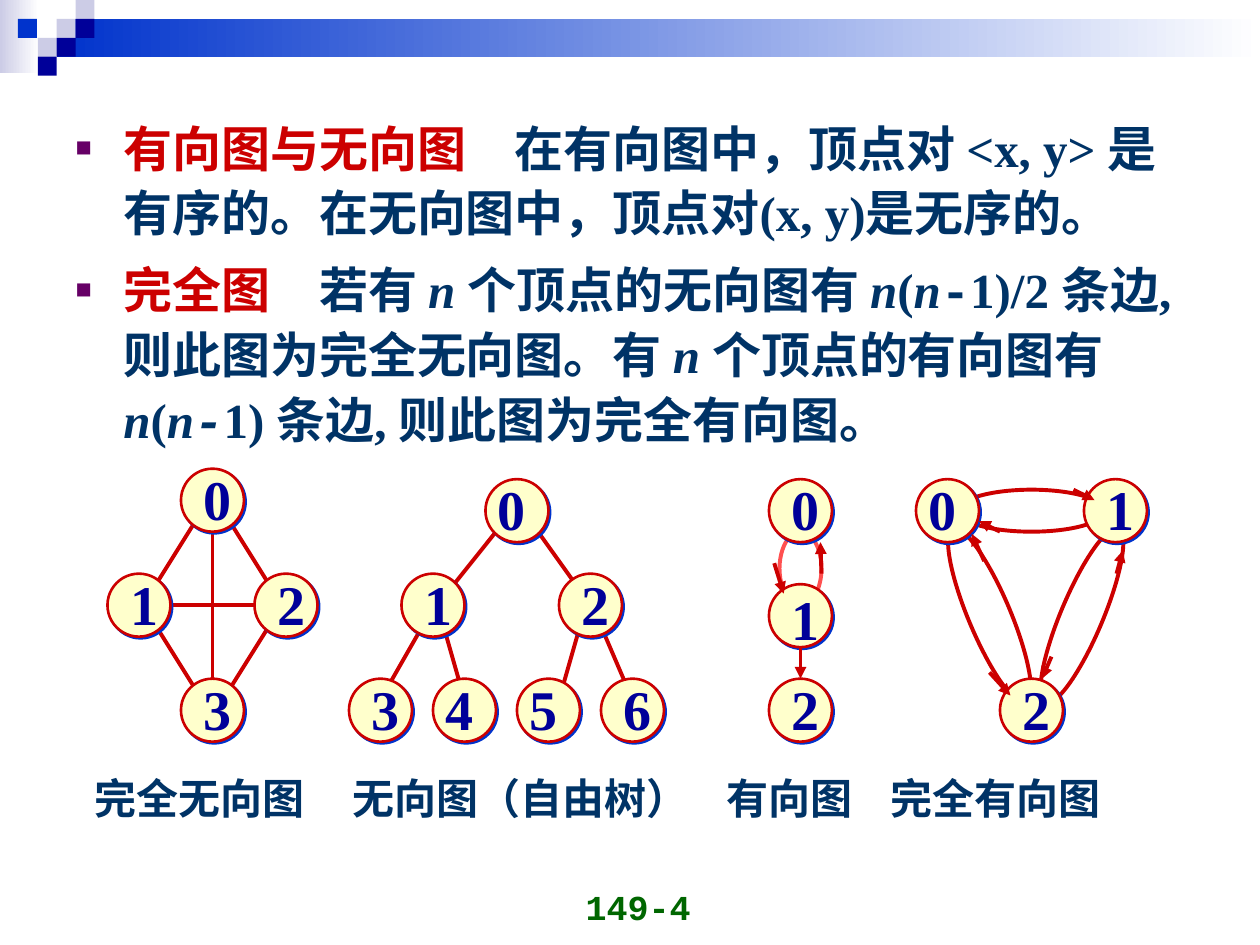
from lxml.etree import SubElement
from pptx import Presentation
from pptx.dml.color import RGBColor
from pptx.enum.shapes import MSO_CONNECTOR, MSO_SHAPE
from pptx.enum.text import MSO_ANCHOR, MSO_AUTO_SIZE, PP_ALIGN
from pptx.oxml.ns import qn
from pptx.util import Inches, Pt

COLORS = {
    "red": "CC0000", "pink": "FF5050", "cream": "FFFFCC", "navy": "000099",
    "blue": "0033CC", "lilac": "CCCCE6", "white": "FFFFFF", "ink": "003366",
    "green": "006600", "plum": "660066",
}
CELL = 1 / 12
ORIGIN_X, ORIGIN_Y = 0.02, -0.03
NODE_SIZE = 6
SERIF, SANS, MONO = "Times New Roman", "Arial", "Courier New"

HEADER_BANDS = [(0, 0, 0.31, 0.58, "lilac"), (0.45, 0.15, 9.55, 0.3, "blue")]
HEADER_TILES = [
    (3, 1, "lilac"), (4, 0, "lilac"), (4, 1, "navy"), (2, 2, "lilac"),
    (0.95, 1, "blue"), (3, 2, "navy"), (2, 3, "navy"),
]

TERM = {"name": SANS, "color": "red"}
PLAIN = {"name": SERIF, "color": "ink"}
VARIABLE = PLAIN | {"italic": True}
MINUS = PLAIN | {"name": MONO}
DEFINITIONS = [
    [("有向图与无向图　", TERM),
     ("在有向图中，顶点对 <x, y> 是有序的。在无向图中，顶点对(x, y)是无序的。", PLAIN)],
    [("完全图　", TERM), ("若有 ", PLAIN), ("n ", VARIABLE),
     ("个顶点的无向图有 ", PLAIN), ("n", VARIABLE), ("(", PLAIN), ("n", VARIABLE),
     ("-", MINUS), ("1)/2 条边, 则此图为完全无向图。有 ", PLAIN), ("n ", VARIABLE),
     ("个顶点的有向图有", PLAIN), ("n", VARIABLE), ("(", PLAIN), ("n", VARIABLE),
     ("-", MINUS | {"italic": True}), ("1) 条边, 则此图为完全有向图。", PLAIN)],
]
CAPTIONS = [(0.75, 1.67, "完全无向图"), (2.8, 2.67, "无向图（自由树）"),
            (5.77, 1, "有向图"), (7.07, 1.67, "完全有向图")]

LOOPS = [
    (74, 51, 4, 7, 0, "pink"), (100.8, 50, 4, 18, 22.8, "red"),
    (92, 50, 4, 18, 337.2, "red"), (91, 47, 14, 4, 0, "red"),
]
EDGES = [
    (51, 51, 56, 58), (55, 60, 53, 67), (57, 60, 60, 67),
    (47, 51, 43, 56), (42, 60, 44, 67), (40, 60, 36, 67),
    (14, 59, 19, 67), (21, 49, 26, 57), (26, 59, 21, 67),
    (19, 49, 14, 57), (15, 58, 26, 58), (20, 50, 20, 68),
]
ARROWS = [
    (78, 55, 77.9, 52), (76, 62, 76, 65), (102, 47, 104, 48), (95, 51, 93, 50),
    (94, 64.4, 96, 66.6), (93.5, 53.8, 92.3, 51.2), (99.9, 62.9, 99, 65),
    (106.1, 55, 106.7, 52.8), (73.5, 54, 74.4, 56.9),
]
NODES = [
    (10, 55, "1", 1), (24, 55, "2", 1), (17, 45, "0", 1), (17, 65, "3", 1),
    (33, 65, "3", 1), (41, 65, "4", 0), (49, 65, "5", 0), (57, 65, "6", 1),
    (38, 55, "1", 1), (53, 55, "2", 1), (46, 46, "0", 0),
    (73, 46, "0", 1), (73, 56, "1", 1), (73, 65, "2", 1),
    (87, 46, "0", 0), (103, 46, "1", 1), (95, 65, "2", 1),
]


def rgb(color):
    return RGBColor.from_string(COLORS[color])


def at(column, row):
    return Inches(ORIGIN_X + column * CELL), Inches(ORIGIN_Y + row * CELL)


def style_font(font, formats):
    for key, value in formats.items():
        if key == "color":
            font.color.rgb = rgb(value)
        else:
            setattr(font, key, value)


def add_header_block(slide, left, top, width, height, color, fading=False):
    block = slide.shapes.add_shape(
        MSO_SHAPE.RECTANGLE, *map(Inches, (left, top, width, height)))
    block.shadow.inherit = False
    block.line.fill.background()
    if fading:
        block.fill.gradient()
        block.fill.gradient_angle = 0
        for stop, shade in zip(block.fill.gradient_stops, (color, "white")):
            stop.color.rgb = rgb(shade)
    else:
        block.fill.solid()
        block.fill.fore_color.rgb = rgb(color)


def add_ellipse(slide, column, row, columns, rows, color, weight):
    ellipse = slide.shapes.add_shape(
        MSO_SHAPE.OVAL, *at(column, row), Inches(columns * CELL), Inches(rows * CELL))
    ellipse.shadow.inherit = False
    ellipse.fill.background()
    ellipse.line.color.rgb = rgb(color)
    ellipse.line.width = Pt(weight)
    return ellipse


def add_node(slide, column, row):
    node = add_ellipse(slide, column, row, NODE_SIZE, NODE_SIZE, "red", 1.5)
    node.fill.solid()
    node.fill.fore_color.rgb = rgb("cream")
    effects = node._element.spPr.find(qn("a:effectLst"))
    shadow = SubElement(effects, qn("a:outerShdw"), dist=str(Pt(1.4)),
                        dir="2700000", algn="ctr", rotWithShape="0")
    SubElement(shadow, qn("a:srgbClr"), val=COLORS["blue"])


def add_edge(slide, x1, y1, x2, y2, arrow=False):
    edge = slide.shapes.add_connector(MSO_CONNECTOR.STRAIGHT, *at(x1, y1), *at(x2, y2))
    edge.line.color.rgb = rgb("red")
    edge.line.width = Pt(2.25)
    if arrow:
        SubElement(edge.line._get_or_add_ln(), qn("a:tailEnd"), type="triangle")
    SubElement(edge._element.spPr, qn("a:effectLst"))


def add_text(slide, left, top, width, height, text, formats, wrap=False,
             anchor=MSO_ANCHOR.TOP, align=PP_ALIGN.LEFT, margin=0.1):
    frame = slide.shapes.add_textbox(left, top, width, height).text_frame
    frame.word_wrap = wrap
    frame.vertical_anchor = anchor
    frame.margin_left = frame.margin_right = Inches(margin)
    paragraph = frame.paragraphs[0]
    paragraph.alignment = align
    run = paragraph.add_run()
    run.text = text
    style_font(run.font, formats)


def add_bullet(paragraph):
    properties = paragraph._p.get_or_add_pPr()
    properties.set("marL", str(Inches(0.38)))
    properties.set("indent", str(Inches(-0.38)))
    color = SubElement(properties, qn("a:buClr"))
    SubElement(color, qn("a:srgbClr"), val=COLORS["plum"])
    SubElement(properties, qn("a:buSzPct"), val="55000")
    SubElement(properties, qn("a:buFont"), typeface=SANS)
    SubElement(properties, qn("a:buChar"), char="■")


def fill_definitions(body):
    body.left, body.top, body.width, body.height = map(Inches, (0.5, 0.84, 9, 6.26))
    frame = body.text_frame
    frame.auto_size = MSO_AUTO_SIZE.NONE
    frame.vertical_anchor = MSO_ANCHOR.TOP
    for index, pieces in enumerate(DEFINITIONS):
        paragraph = frame.add_paragraph() if index else frame.paragraphs[0]
        paragraph.line_spacing = 1.1
        paragraph.space_before = Pt(7 if index else 0)
        add_bullet(paragraph)
        for text, formats in pieces:
            run = paragraph.add_run()
            run.text = text
            style_font(run.font, {"size": Pt(28), "bold": True} | formats)


def add_graphs(slide):
    for column, row, columns, rows, angle, color in LOOPS:
        add_ellipse(slide, column, row, columns, rows, color, 2.25).rotation = angle
    for ends in EDGES:
        add_edge(slide, *ends)
    for column, row, _, _ in NODES:
        add_node(slide, column, row)
    for ends in ARROWS:
        add_edge(slide, *ends, arrow=True)
    digit = {"name": SERIF, "size": Pt(32), "bold": True, "color": "navy"}
    for column, row, label, shift in NODES:
        drop = 0.6 if row == 56 else 1
        add_text(slide, *at(column + shift, row - drop), Inches(0.42), Inches(0.64),
                 label, digit)


def main():
    deck = Presentation()
    deck.slide_width, deck.slide_height = Inches(10), Inches(7.5)
    slide = deck.slides.add_slide(deck.slide_layouts[1])
    title = slide.shapes.title._element
    title.getparent().remove(title)
    fill_definitions(slide.placeholders[1])
    for band in HEADER_BANDS:
        add_header_block(slide, *band, fading=True)
    for column, row, color in HEADER_TILES:
        add_header_block(slide, column * 0.15, row * 0.15, 0.15, 0.15, color)
    add_graphs(slide)
    caption = {"name": SERIF, "size": Pt(24), "bold": True, "color": "ink"}
    for left, width, text in CAPTIONS:
        add_text(slide, *map(Inches, (left, 6.08, width, 0.5)), text, caption,
                 anchor=MSO_ANCHOR.MIDDLE, margin=0)
    number = {"name": MONO, "size": Pt(20), "bold": True, "color": "green"}
    add_text(slide, *map(Inches, (3.9, 6.91, 2.33, 0.5)), "149-4", number, wrap=True,
             anchor=MSO_ANCHOR.BOTTOM, align=PP_ALIGN.CENTER)
    deck.save("out.pptx")


if __name__ == "__main__":
    main()
